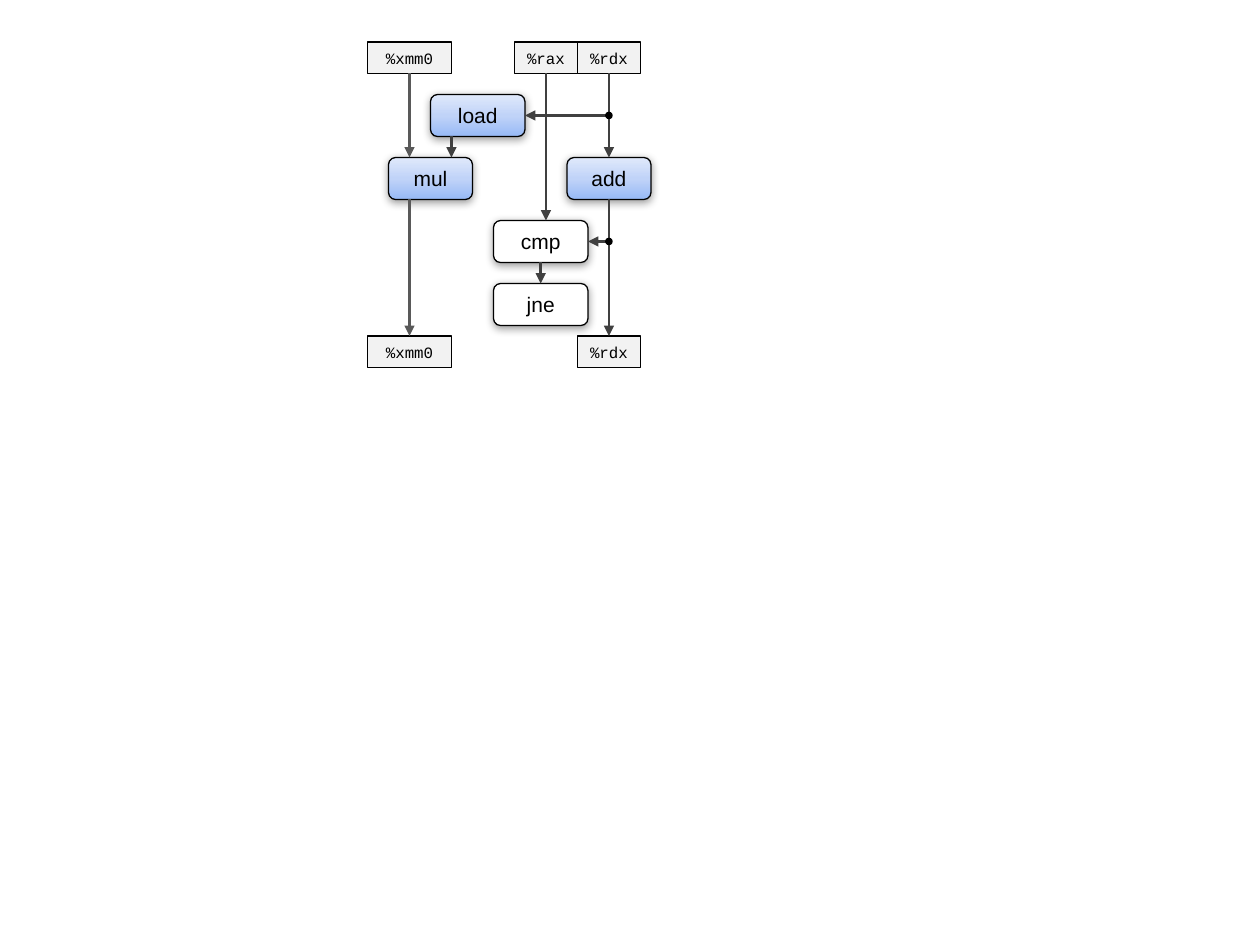
from dataclasses import dataclass

from pptx import Presentation
from pptx.dml.color import RGBColor
from pptx.enum.shapes import MSO_CONNECTOR as Connector, MSO_SHAPE as Shape
from pptx.enum.text import MSO_ANCHOR as Anchor, PP_ALIGN as Align
from pptx.oxml import parse_xml
from pptx.oxml.ns import nsdecls
from pptx.util import Inches, Pt

TOP, LEFT, BOTTOM, RIGHT = range(4)


@dataclass(frozen=True)
class Theme:
    black: str = "000000"
    white: str = "FFFFFF"
    register_fill: str = "F2F2F2"
    arrow: str = "404040"
    light_arrow: str = "595959"
    gradient: tuple = ((0, "98BAF6"), (50, "C0D3F8"), (100, "E0E9FB"))
    register_font: str = "Courier New"
    operation_font: str = "Arial"
    register_size: int = 9
    operation_size: int = 12


THEME = Theme()


def color(value):
    return RGBColor.from_string(value)


def grid(units):
    """The diagram sits on a grid of twelve units to the inch."""
    return Inches(units / 12)


def add_box(slide, kind, text, left, top, width, height, fill, line_width, font, size):
    shape = slide.shapes.add_shape(kind, *map(grid, (left, top, width, height)))
    shape.shadow.inherit = False
    shape.fill.solid()
    shape.fill.fore_color.rgb = color(fill)
    shape.line.color.rgb = color(THEME.black)
    shape.line.width = Pt(line_width)

    frame = shape.text_frame
    frame.margin_left = frame.margin_right = frame.margin_top = frame.margin_bottom = 0
    frame.vertical_anchor = Anchor.MIDDLE
    paragraph = frame.paragraphs[0]
    paragraph.text = text
    paragraph.alignment = Align.CENTER
    paragraph.font.name = font
    paragraph.font.size = Pt(size)
    paragraph.font.color.rgb = color(THEME.black)
    return shape


def add_register(slide, text, left, top, width):
    return add_box(slide, Shape.RECTANGLE, text, left, top, width, 3,
                   THEME.register_fill, 1, THEME.register_font, THEME.register_size)


def add_operation(slide, text, left, top, width, shaded=False):
    shape = add_box(slide, Shape.ROUNDED_RECTANGLE, text, left, top, width, 4,
                    THEME.white, 0.75, THEME.operation_font, THEME.operation_size)
    properties = shape.element.spPr
    if shaded:
        stops = "".join(f'<a:gs pos="{position * 1000}"><a:srgbClr val="{value}"/></a:gs>'
                        for position, value in THEME.gradient)
        gradient = parse_xml(f'<a:gradFill {nsdecls("a")}><a:gsLst>{stops}</a:gsLst>'
                             '<a:lin ang="16200000" scaled="0"/></a:gradFill>')
        properties.replace(properties.find("{*}solidFill"), gradient)
    shadow = parse_xml(
        f'<a:effectLst {nsdecls("a")}>'
        f'<a:outerShdw blurRad="{Pt(5)}" dist="{Pt(1.6)}" dir="5400000" rotWithShape="0">'
        f'<a:srgbClr val="{THEME.black}"><a:alpha val="38000"/></a:srgbClr>'
        '</a:outerShdw></a:effectLst>')
    properties.replace(properties.find("{*}effectLst"), shadow)
    return shape


def add_arrow(slide, start, end, line_color=THEME.arrow, source=None, target=None):
    """Draw an arrow; source and target are optional (shape, side) joins."""
    arrow = slide.shapes.add_connector(Connector.STRAIGHT, *map(grid, start + end))
    arrow.line.color.rgb = color(line_color)
    arrow.line.width = Pt(1.5)
    arrow.line._get_or_add_ln().append(
        parse_xml(f'<a:tailEnd {nsdecls("a")} type="triangle"/>'))
    arrow.element.spPr.append(parse_xml(f'<a:effectLst {nsdecls("a")}/>'))
    if source:
        arrow.begin_connect(*source)
    if target:
        arrow.end_connect(*target)


def add_junction(slide, x, y):
    diameter = Inches(0.06)
    dot = slide.shapes.add_shape(Shape.OVAL, grid(x) - diameter // 2,
                                 grid(y) - diameter // 2, diameter, diameter)
    dot.shadow.inherit = False
    dot.fill.solid()
    dot.fill.fore_color.rgb = color(THEME.black)
    dot.line.fill.background()


def main():
    presentation = Presentation()
    presentation.slide_width, presentation.slide_height = Inches(10), Inches(7.5)
    slide = presentation.slides.add_slide(presentation.slide_layouts[6])

    # Registers before and after the loop body
    xmm0_in = add_register(slide, "%xmm0", 35, 4, 8)
    rax_in = add_register(slide, "%rax", 49, 4, 6)
    rdx_in = add_register(slide, "%rdx", 55, 4, 6)
    xmm0_out = add_register(slide, "%xmm0", 35, 32, 8)
    rdx_out = add_register(slide, "%rdx", 55, 32, 6)

    # Operations
    load = add_operation(slide, "load", 41, 9, 9, shaded=True)
    add_operation(slide, "mul", 37, 15, 8, shaded=True)
    add = add_operation(slide, "add", 54, 15, 8, shaded=True)
    cmp = add_operation(slide, "cmp", 47, 21, 9)
    jne = add_operation(slide, "jne", 47, 27, 9)

    # Data flow down the columns
    add_arrow(slide, (39, 7), (39, 15), THEME.light_arrow, source=(xmm0_in, BOTTOM))
    add_arrow(slide, (39, 19), (39, 32), THEME.light_arrow, target=(xmm0_out, TOP))
    add_arrow(slide, (43, 13), (43, 15))
    add_arrow(slide, (52, 7), (52, 21), source=(rax_in, BOTTOM))
    add_arrow(slide, (51.5, 25), (51.5, 27), source=(cmp, BOTTOM), target=(jne, TOP))
    add_arrow(slide, (58, 7), (58, 15), source=(rdx_in, BOTTOM), target=(add, TOP))
    add_arrow(slide, (58, 19), (58, 32), source=(add, BOTTOM), target=(rdx_out, TOP))

    # Branches off the %rdx column
    for operation, edge, y in ((load, 50, 11), (cmp, 56, 23)):
        add_arrow(slide, (58, y), (edge, y), target=(operation, RIGHT))
        add_junction(slide, 58, y)

    presentation.save("out.pptx")


if __name__ == "__main__":
    main()
